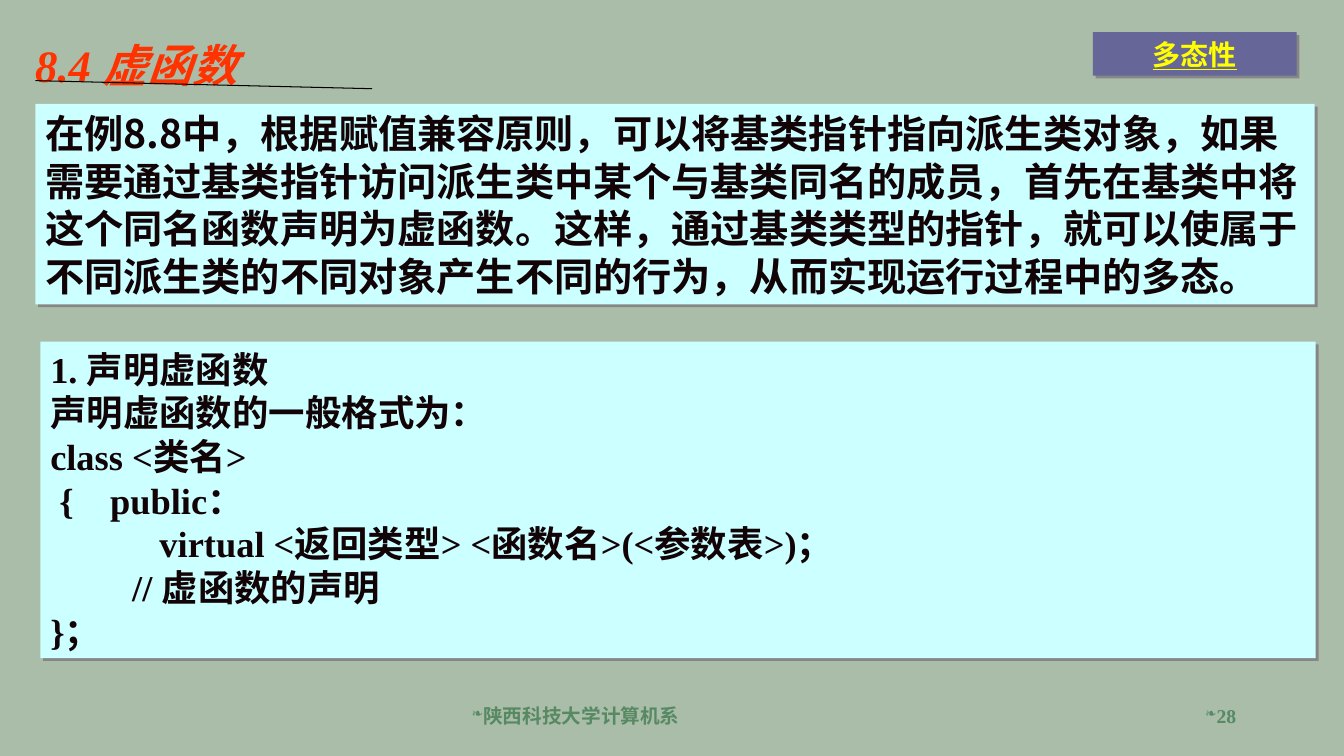
from dataclasses import dataclass

from lxml.etree import SubElement
from pptx import Presentation
from pptx.dml.color import RGBColor
from pptx.enum.shapes import MSO_CONNECTOR as Connector, MSO_SHAPE as Preset
from pptx.enum.text import MSO_ANCHOR as Anchor, MSO_AUTO_SIZE as AutoSize, PP_ALIGN as Align
from pptx.oxml.ns import qn
from pptx.util import Inches, Pt


@dataclass(frozen=True)
class Theme:
    """Colours, fonts and type sizes of the slide."""
    background: str = "A9BDA9"
    panel: str = "CCFFFF"
    button: str = "666699"
    shadow: str = "868686"
    ink: str = "110306"
    title: str = "FF3300"
    link: str = "FFFF00"
    footer: str = "578963"
    rule: str = "000000"
    serif: str = "Times New Roman"
    chinese: str = "Noto Sans CJK SC"
    title_size: int = 32
    intro_size: int = 28
    syntax_size: int = 26
    button_size: int = 20
    footer_size: int = 14


THEME = Theme()

INTRO = (
    "在例8.8中，根据赋值兼容原则，可以将基类指针指向派生类对象，"
    "如果需要通过基类指针访问派生类中某个与基类同名的成员，"
    "首先在基类中将这个同名函数声明为虚函数。"
    "这样，通过基类类型的指针，就可以使属于不同派生类的不同对象产生不同的行为，"
    "从而实现运行过程中的多态。"
)

SYNTAX = """1. 声明虚函数
声明虚函数的一般格式为：
class <类名>
 {    public：
            virtual <返回类型> <函数名>(<参数表>)；
         // 虚函数的声明
}；"""


def color(value):
    """Turn a hex string into a colour."""
    return RGBColor.from_string(value)


def add_bullet(para, mark):
    """Put a small bullet mark before a paragraph."""
    properties = para._p.get_or_add_pPr()
    properties.set("marL", "0")
    properties.set("indent", "0")
    SubElement(properties, qn("a:buSzPct"), val="70000")
    SubElement(properties, qn("a:buChar"), char=mark)


def write(shape, text, size, ink, font=THEME.serif, align=Align.LEFT, anchor=Anchor.TOP,
          leading=None, bullet=None, bold=True, italic=False, underline=False):
    """Fill a shape with one paragraph for each line of text."""
    frame = shape.text_frame
    frame.word_wrap = True
    frame.auto_size = AutoSize.NONE
    frame.vertical_anchor = anchor
    for index, line in enumerate(text.split("\n")):
        para = frame.add_paragraph() if index else frame.paragraphs[0]
        para.alignment = align
        if leading:
            para.line_spacing = Pt(leading)
        if bullet:
            add_bullet(para, bullet)
        span = para.add_run()
        span.text = line
        span.font.name = font
        span.font.size = Pt(size)
        span.font.bold = bold
        span.font.italic = italic
        span.font.underline = underline
        span.font.color.rgb = color(ink)
        SubElement(span._r.get_or_add_rPr(), qn("a:ea"), typeface=THEME.chinese)


def add_label(page, bounds, text, **style):
    """Add a text box."""
    box = page.shapes.add_textbox(*map(Inches, bounds))
    write(box, text, **style)


def add_panel(page, bounds, fill, text, **style):
    """Add a filled rectangle with a hard drop shadow and text."""
    panel = page.shapes.add_shape(Preset.RECTANGLE, *map(Inches, bounds))
    panel.fill.solid()
    panel.fill.fore_color.rgb = color(fill)
    panel.line.fill.background()
    panel.shadow.inherit = False
    effects = panel._element.spPr.find(qn("a:effectLst"))
    shadow = SubElement(effects, qn("a:outerShdw"), blurRad="0", dist=str(Pt(2.8)),
                        dir="2700000", algn="ctr", rotWithShape="0")
    SubElement(shadow, qn("a:srgbClr"), val=THEME.shadow)
    write(panel, text, **style)


def add_rule(page, start, end):
    """Add a thin line between two points."""
    rule = page.shapes.add_connector(Connector.STRAIGHT, *map(Inches, start + end))
    rule.line.color.rgb = color(THEME.rule)
    rule.line.width = Pt(0.75)
    SubElement(rule._element.spPr, qn("a:effectLst"))


def main():
    """Build the slide and save it."""
    deck = Presentation()
    deck.slide_width, deck.slide_height = Inches(13.33), Inches(7.5)
    page = deck.slides.add_slide(deck.slide_layouts[6])
    page.background.fill.solid()
    page.background.fill.fore_color.rgb = color(THEME.background)

    footer = dict(size=THEME.footer_size, ink=THEME.footer, anchor=Anchor.MIDDLE, bullet="❧")
    add_label(page, (4.58, 6.9, 4.22, 0.4), "陕西科技大学计算机系", **footer)
    add_label(page, (9.58, 6.9, 2.78, 0.4), "28", align=Align.RIGHT, **footer)

    add_panel(page, (0.35, 1.03, 12.69, 1.99), THEME.panel, INTRO, size=THEME.intro_size,
              ink=THEME.ink, font=THEME.chinese, leading=34)
    add_panel(page, (0.4, 3.39, 12.65, 3.14), THEME.panel, SYNTAX, size=THEME.syntax_size,
              ink=THEME.ink, leading=31.2)

    add_label(page, (0.25, 0.12, 3.88, 0.84), "8.4 虚函数", size=THEME.title_size,
              ink=THEME.title, anchor=Anchor.BOTTOM, italic=True)
    add_rule(page, (0.35, 0.8), (3.69, 0.88))
    add_panel(page, (10.84, 0.32, 2.02, 0.43), THEME.button, "多态性", size=THEME.button_size,
              ink=THEME.link, align=Align.CENTER, anchor=Anchor.MIDDLE, underline=True)
    deck.save("out.pptx")


if __name__ == "__main__":
    main()
